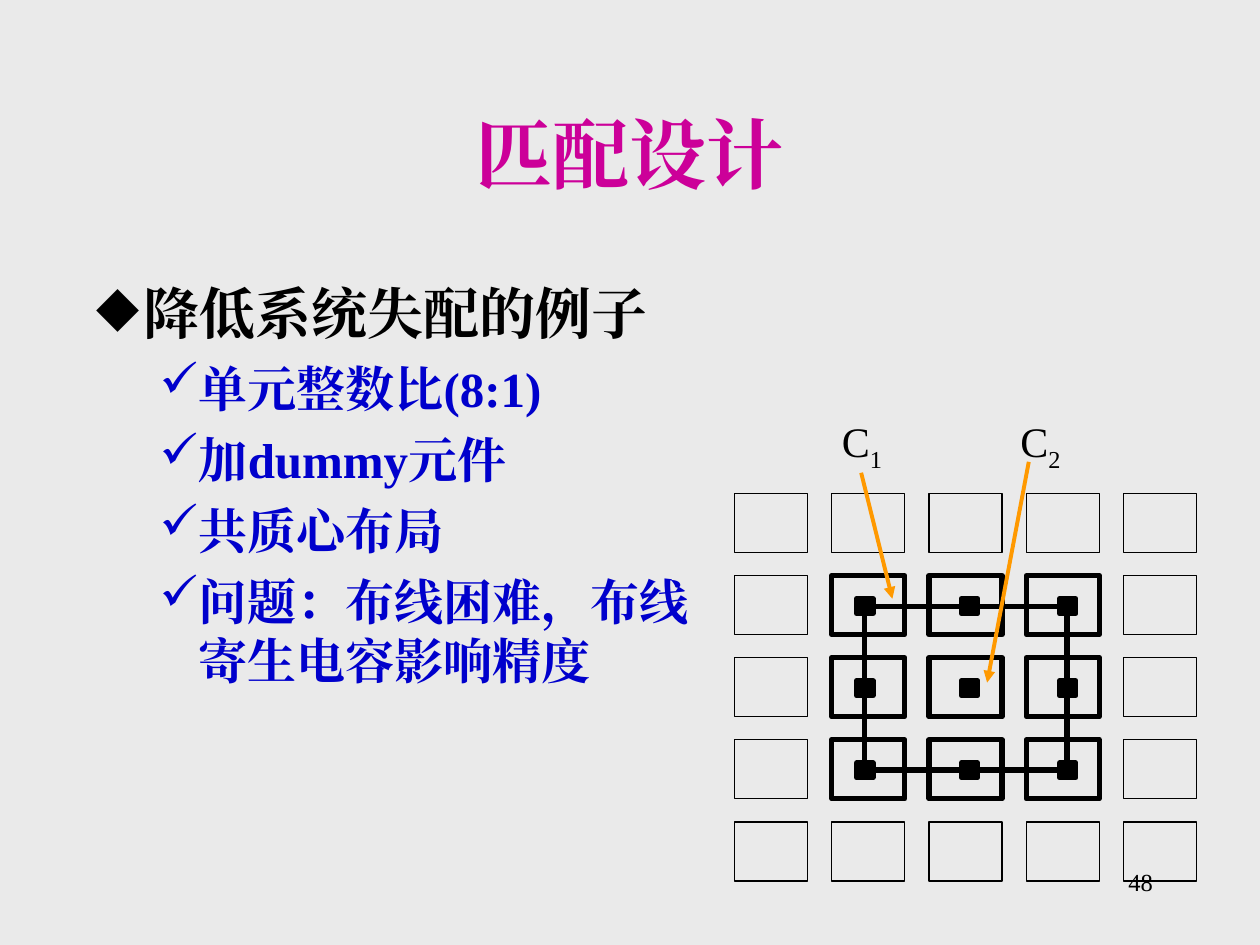
from typing import NamedTuple

from lxml import etree
from pptx import Presentation
from pptx.dml.color import RGBColor
from pptx.enum.shapes import MSO_CONNECTOR, MSO_SHAPE
from pptx.enum.text import MSO_ANCHOR, MSO_AUTO_SIZE, PP_ALIGN
from pptx.oxml.ns import qn
from pptx.util import Cm, Pt

RECTANGLE = MSO_SHAPE.RECTANGLE
STRAIGHT = MSO_CONNECTOR.STRAIGHT
BACKGROUND = RGBColor(0xEA, 0xEA, 0xEA)
BLACK = RGBColor(0, 0, 0)
MAGENTA = RGBColor(0xCC, 0x00, 0x99)
BLUE = RGBColor(0x00, 0x00, 0xCC)
ORANGE = RGBColor(0xFF, 0x99, 0x00)
FONT = "Times New Roman"

# Capacitor array, in centimetres
GRID_SIZE = 5
GRID_LEFT, GRID_TOP = 14.81, 9.95
PITCH_X, PITCH_Y = 1.96, 1.655
CELL_WIDTH, CELL_HEIGHT = 1.47, 1.19
CONTACT_LEFTS = (17.27, 19.38, 21.36)
CONTACT_TOP = 12.07
CONTACT_WIDTH, CONTACT_HEIGHT = 0.33, 0.3
THIN, THICK = 0.75, 3


class Bullet(NamedTuple):
    text: str
    mark: str
    level: int
    margin: float
    hanging: float
    size: int
    space_before: int
    color: RGBColor


class Wire(NamedTuple):
    start: tuple[float, float]
    end: tuple[float, float]
    color: RGBColor
    width: float
    arrow: bool = False


class Label(NamedTuple):
    letter: str
    subscript: str
    left: float


def check(text: str) -> Bullet:
    return Bullet(text, "✓", 1, 2.06, 0.79, 28, 7, BLUE)


BULLETS = (
    Bullet("降低系统失配的例子", "◆", 0, 0.95, 0.95, 32, 0, BLACK),
    check("单元整数比(8:1)"),
    check("加dummy元件"),
    check("共质心布局"),
    check("问题：布线困难，布线寄生电容影响精度"),
)
LEFT, RIGHT, TOP, BOTTOM = 17.42, 21.51, 12.22, 15.52
RING = (
    Wire((17.27, TOP), (RIGHT, TOP), BLACK, THICK),
    Wire((RIGHT, TOP), (RIGHT, BOTTOM), BLACK, THICK),
    Wire((RIGHT, BOTTOM), (17.27, BOTTOM), BLACK, THICK),
    Wire((LEFT, TOP), (LEFT, BOTTOM), BLACK, THICK),
)
POINTERS = (
    Wire((17.36, 9.53), (17.99, 12.07), ORANGE, 2.25, True),
    Wire((20.74, 9.31), (19.9, 13.76), ORANGE, 2.25, True),
)
LABELS = (Label("C", "1", 16.72), Label("C", "2", 20.32))


def format_run(run, size: float, color: RGBColor, bold: bool = False) -> None:
    run.font.name = FONT
    run.font.size = Pt(size)
    run.font.bold = bold
    run.font.color.rgb = color
    east_asian = etree.SubElement(run.font._element, qn("a:ea"))
    east_asian.set("typeface", FONT)


def add_text_box(slide, left: float, top: float, width: float, height: float):
    box = slide.shapes.add_textbox(Cm(left), Cm(top), Cm(width), Cm(height))
    box.text_frame.word_wrap = True
    return box.text_frame


def add_bullet(paragraph, bullet: Bullet) -> None:
    paragraph.text = bullet.text
    paragraph.level = bullet.level
    paragraph.space_before = Pt(bullet.space_before)
    properties = paragraph._p.get_or_add_pPr()
    properties.set("marL", str(Cm(bullet.margin)))
    properties.set("indent", str(-Cm(bullet.hanging)))
    color = etree.SubElement(properties, qn("a:buClr"))
    etree.SubElement(color, qn("a:srgbClr")).set("val", str(bullet.color))
    etree.SubElement(properties, qn("a:buChar")).set("char", bullet.mark)
    format_run(paragraph.runs[0], bullet.size, bullet.color, bold=True)


def add_rectangle(slide, left: float, top: float, width: float, height: float,
                  line_width: float, filled: bool = False) -> None:
    shape = slide.shapes.add_shape(
        RECTANGLE, Cm(left), Cm(top), Cm(width), Cm(height))
    shape.shadow.inherit = False
    if filled:
        shape.fill.solid()
        shape.fill.fore_color.rgb = BLACK
    else:
        shape.fill.background()
    shape.line.color.rgb = BLACK
    shape.line.width = Pt(line_width)


def add_wire(slide, wire: Wire) -> None:
    points = [Cm(value) for value in (*wire.start, *wire.end)]
    connector = slide.shapes.add_connector(STRAIGHT, *points)
    connector.line.color.rgb = wire.color
    connector.line.width = Pt(wire.width)
    if wire.arrow:
        tail = etree.SubElement(connector.line._get_or_add_ln(), qn("a:tailEnd"))
        tail.set("type", "triangle")
    etree.SubElement(connector._element.spPr, qn("a:effectLst"))


def add_label(slide, label: Label) -> None:
    paragraph = add_text_box(slide, label.left, 8.26, 1.47, 1.42).paragraphs[0]
    for text in (label.letter, label.subscript):
        run = paragraph.add_run()
        run.text = text
        format_run(run, 24, BLACK)
    run.font._element.set("baseline", "-25000")


def add_capacitor_array(slide) -> None:
    inner = range(1, GRID_SIZE - 1)
    # Unit capacitors are thick, the dummy ring around them is thin
    for row in range(GRID_SIZE):
        for column in range(GRID_SIZE):
            line_width = THICK if row in inner and column in inner else THIN
            add_rectangle(slide, GRID_LEFT + column * PITCH_X,
                          GRID_TOP + row * PITCH_Y,
                          CELL_WIDTH, CELL_HEIGHT, line_width)
    for wire in RING:
        add_wire(slide, wire)
    for row in range(len(inner)):
        for left in CONTACT_LEFTS:
            add_rectangle(slide, left, CONTACT_TOP + row * PITCH_Y,
                          CONTACT_WIDTH, CONTACT_HEIGHT, THICK, filled=True)


def main() -> None:
    presentation = Presentation()
    presentation.slide_width, presentation.slide_height = Cm(25.4), Cm(19.05)
    slide = presentation.slides.add_slide(presentation.slide_layouts[5])
    slide.background.fill.solid()
    slide.background.fill.fore_color.rgb = BACKGROUND

    # Title
    title = slide.shapes.title
    title.left, title.top = Cm(1.9), Cm(1.48)
    title.width, title.height = Cm(21.6), Cm(3.18)
    title.text_frame.text = "匹配设计"
    title.text_frame.auto_size = MSO_AUTO_SIZE.NONE
    title.text_frame.vertical_anchor = MSO_ANCHOR.MIDDLE
    heading = title.text_frame.paragraphs[0]
    heading.alignment = PP_ALIGN.CENTER
    format_run(heading.runs[0], 44, MAGENTA, bold=True)

    # Bullet list
    body = add_text_box(slide, 1.7, 5.5, 12.9, 11.43)
    for index, bullet in enumerate(BULLETS):
        paragraph = body.add_paragraph() if index else body.paragraphs[0]
        add_bullet(paragraph, bullet)

    # Capacitor layout with labels and pointers
    add_capacitor_array(slide)
    for label in LABELS:
        add_label(slide, label)
    for pointer in POINTERS:
        add_wire(slide, pointer)

    # Page number
    number = add_text_box(slide, 18.2, 17.36, 5.29, 1.27).paragraphs[0]
    number.text = "48"
    number.alignment = PP_ALIGN.RIGHT
    format_run(number.runs[0], 14, BLACK)

    presentation.save("out.pptx")


if __name__ == "__main__":
    main()
